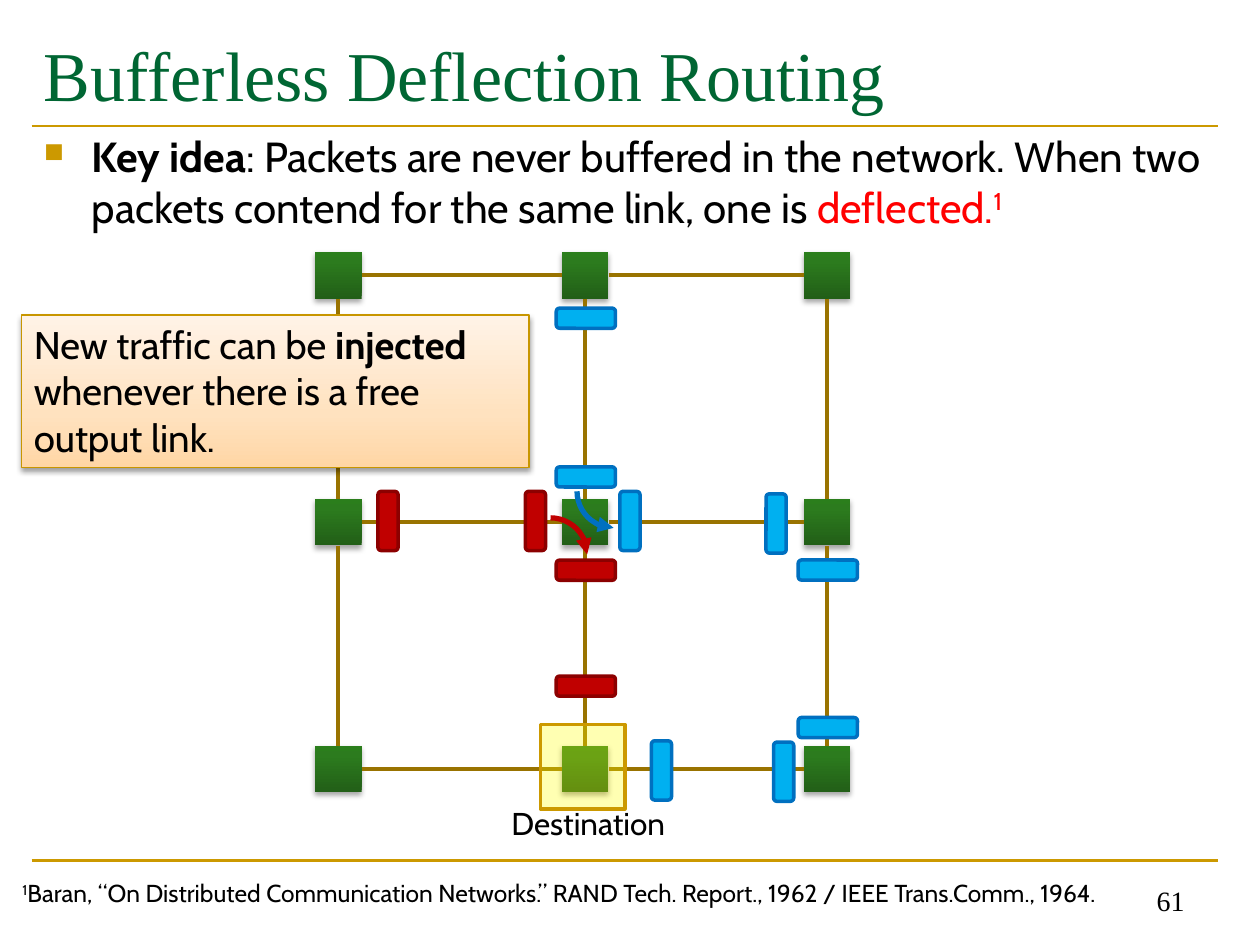
import lxml.etree
import pptx
import pptx.dml.color
import pptx.enum.shapes
import pptx.enum.text
import pptx.oxml.ns
import pptx.util

Inches = pptx.util.Inches
Pt = pptx.util.Pt
qn = pptx.oxml.ns.qn
hex_color = pptx.dml.color.RGBColor.from_string
SHAPES = pptx.enum.shapes.MSO_SHAPE
ALIGN = pptx.enum.text.PP_ALIGN
ANCHOR = pptx.enum.text.MSO_ANCHOR
SERIF = "Times New Roman"


def add_run(paragraph, text, size=24, color="000000", font="Cabin", bold=False, superscript=False):
    run = paragraph.add_run()
    run.text = text
    run.font.size = Pt(size)
    run.font.name = font
    run.font.bold = bold
    run.font.color.rgb = hex_color(color)
    if superscript:
        run._r.get_or_add_rPr().set("baseline", "30000")


def style_shape(shape, stops=None, fill=None, line=None, width=2, shadow_alpha=0):
    """Set a vertical gradient (stops from bottom to top) or plain fill, the outline and a soft shadow."""
    if stops:
        shape.fill.gradient()
        shape.fill.gradient_angle = 90
        stop_list = shape._element.spPr.find(".//" + qn("a:gsLst"))
        for stop in list(stop_list):
            stop_list.remove(stop)
        for position, color in stops:
            stop = lxml.etree.SubElement(stop_list, qn("a:gs"), pos=str(position * 1000))
            lxml.etree.SubElement(stop, qn("a:srgbClr"), val=color)
    elif fill:
        shape.fill.solid()
        shape.fill.fore_color.rgb = hex_color(fill)
    else:
        shape.fill.background()
    if line:
        shape.line.color.rgb = hex_color(line)
        shape.line.width = Pt(width)
    else:
        shape.line.fill.background()
    shape.shadow.inherit = False
    if shadow_alpha:
        effects = shape._element.spPr.find(qn("a:effectLst"))
        shadow = lxml.etree.SubElement(
            effects, qn("a:outerShdw"), blurRad=str(Pt(3.1)), dist=str(Pt(1.8)),
            dir="5400000", rotWithShape="0")
        color = lxml.etree.SubElement(shadow, qn("a:srgbClr"), val="000000")
        lxml.etree.SubElement(color, qn("a:alpha"), val=str(shadow_alpha * 1000))


presentation = pptx.Presentation()
presentation.slide_width = Inches(10)
presentation.slide_height = Inches(7.5)
slide = presentation.slides.add_slide(presentation.slide_layouts[6])
shapes = slide.shapes

# Text: place, anchor, alignment, wrap, runs
text_boxes = [
    ((0.25, 0.17, 9.42, 0.83), ANCHOR.MIDDLE, ALIGN.LEFT, True,
     [("Bufferless Deflection Routing", dict(size=40, color="006633", font=SERIF))]),
    ((0.25, 0.99, 9.58, 1.01), ANCHOR.TOP, ALIGN.LEFT, True,
     [("Key idea", dict(bold=True)),
      (": Packets are never buffered in the network. When two packets contend "
       "for the same link, one is ", {}),
      ("deflected.", dict(color="FF0000")),
      ("1", dict(color="FF0000", superscript=True))]),
    ((3.96, 6.33, 1.45, 0.4), ANCHOR.TOP, ALIGN.LEFT, False,
     [("Destination", dict(size=18))]),
    ((0.08, 6.92, 9.26, 0.34), ANCHOR.TOP, ALIGN.LEFT, False,
     [("1", dict(size=14, superscript=True)),
      ("Baran, “On Distributed Communication Networks.” RAND Tech. Report., 1962 / "
       "IEEE Trans.Comm., 1964.", dict(size=14))]),
    ((7.17, 6.83, 2.33, 0.5), ANCHOR.BOTTOM, ALIGN.RIGHT, True,
     [("61", dict(size=16, font=SERIF))]),
]
for place, anchor, alignment, wrap, runs in text_boxes:
    text_box = shapes.add_textbox(*map(Inches, place))
    text_box.text_frame.word_wrap = wrap
    text_box.text_frame.vertical_anchor = anchor
    paragraph = text_box.text_frame.paragraphs[0]
    paragraph.alignment = alignment
    if runs[0][0] == "Key idea":
        properties = paragraph._p.get_or_add_pPr()
        properties.set("marL", str(Inches(0.38)))
        properties.set("indent", str(Inches(-0.38)))
        bullet_color = lxml.etree.SubElement(properties, qn("a:buClr"))
        lxml.etree.SubElement(bullet_color, qn("a:srgbClr"), val="CC9900")
        lxml.etree.SubElement(properties, qn("a:buSzPct"), val="65000")
        lxml.etree.SubElement(properties, qn("a:buChar"), char="■")
    for text, text_format in runs:
        add_run(paragraph, text, **text_format)

# Mesh of nodes
node_size = 0.37
columns = [2.5, 4.46, 6.38]
rows = [2, 3.96, 5.92]
for top in rows:
    for left in columns:
        node = shapes.add_shape(SHAPES.RECTANGLE, *map(Inches, (left, top, node_size, node_size)))
        style_shape(node, stops=[(0, "225F17"), (80, "2C7B1E"), (100, "2B7E1C")], shadow_alpha=35)

# Rules above and below the content, then links between neighbouring nodes
lines = [(0.25, y, 9.67, y, "CC9900", 1.5) for y in (1, 6.83)]
for start, end in zip(columns, columns[1:]):
    for top in rows:
        y = top + node_size / 2
        lines.append((start + node_size, y, end, y, "997300", 2.25))
for start, end in zip(rows, rows[1:]):
    for left in columns:
        x = left + node_size / 2
        lines.append((x, start + node_size, x, end, "997300", 2.25))
for *ends, color, width in lines:
    connector = shapes.add_connector(pptx.enum.shapes.MSO_CONNECTOR.STRAIGHT, *map(Inches, ends))
    connector.line.color.rgb = hex_color(color)
    connector.line.width = Pt(width)
    lxml.etree.SubElement(connector._element.spPr, qn("a:effectLst"))

# Packets: left, top, rotation before turning
red = dict(fill="C00000", line="8C0000")
blue = dict(fill="00B0F0", line="0070C0")
packets = [
    (3, 3.9, 0, red), (4.17, 3.9, 0, red), (4.57, 4.29, 270, red), (4.57, 5.21, 270, red),
    (4.57, 2.29, 270, blue), (4.57, 3.55, 270, blue), (4.92, 3.9, 0, blue),
    (6.08, 3.92, 0, blue), (6.49, 4.29, 90, blue), (6.49, 5.54, 90, blue),
    (5.17, 5.88, 0, blue), (6.14, 5.89, 0, blue),
]
for left, top, rotation, colors in packets:
    packet = shapes.add_shape(SHAPES.ROUNDED_RECTANGLE, *map(Inches, (left, top, 0.16, 0.47)))
    packet.rotation = rotation
    style_shape(packet, **colors)

# Turns taken by the two contending packets
for left, top, color, arrow_end, flipped in [
    (4.58, 3.61, "0070C0", "a:headEnd", True),
    (4.08, 4.11, "C00000", "a:tailEnd", False),
]:
    turn = shapes.add_shape(SHAPES.ARC, *map(Inches, (left, top, 0.58, 0.58)))
    style_shape(turn, line=color, width=3)
    lxml.etree.SubElement(turn.line._get_or_add_ln(), qn(arrow_end), type="triangle")
    if flipped:
        turn._element.spPr.xfrm.set("flipH", "1")
        turn._element.spPr.xfrm.set("flipV", "1")

destination = shapes.add_shape(SHAPES.RECTANGLE, *map(Inches, (4.29, 5.75, 0.67, 0.67)))
style_shape(destination, fill="FFFF00", line="CC9900")
fill_color = destination._element.spPr.find(qn("a:solidFill")).find(qn("a:srgbClr"))
lxml.etree.SubElement(fill_color, qn("a:alpha"), val="30000")

callout = shapes.add_shape(SHAPES.RECTANGLE, *map(Inches, (0.17, 2.5, 4.03, 1.21)))
style_shape(callout, stops=[(0, "FFD6A5"), (35, "FFE2BF"), (100, "FFF3E7")],
            line="C89600", width=0.75, shadow_alpha=38)
frame = callout.text_frame
frame.word_wrap = False
frame.vertical_anchor = ANCHOR.TOP
callout_lines = [
    [("New traffic can be ", False), ("injected", True)],
    [("whenever there is a free", False)],
    [("output link.", False)],
]
for index, runs in enumerate(callout_lines):
    paragraph = frame.add_paragraph() if index else frame.paragraphs[0]
    paragraph.alignment = ALIGN.LEFT
    for text, bold in runs:
        add_run(paragraph, text, size=22, bold=bold)

presentation.save("out.pptx")
